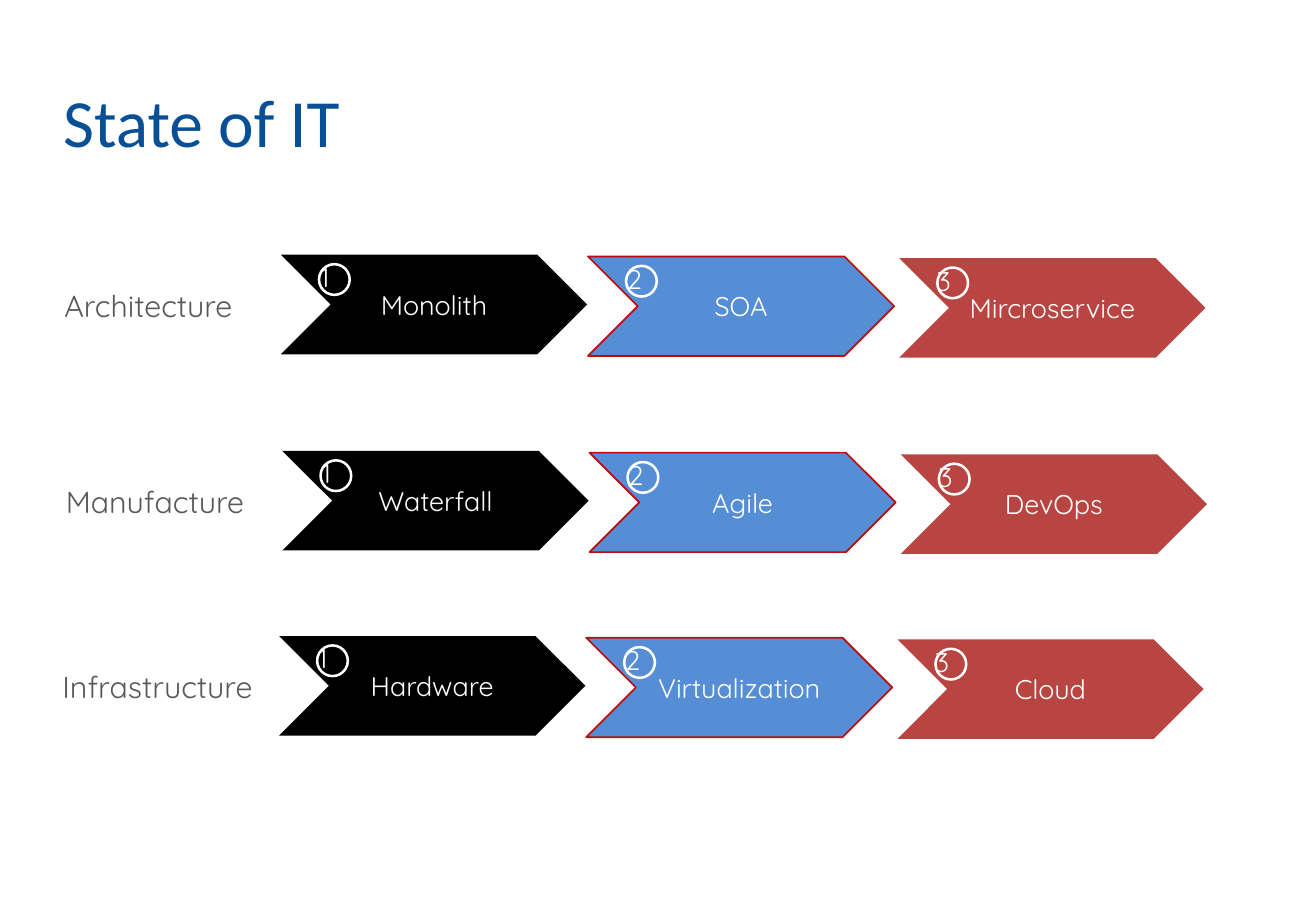
"""Build the State of IT slide: three rows of numbered evolution chevrons."""
from pptx import Presentation
from pptx.dml.color import RGBColor
from pptx.enum.shapes import MSO_SHAPE
from pptx.enum.text import MSO_ANCHOR, PP_ALIGN
from pptx.oxml.ns import qn
from pptx.util import Pt
from lxml.etree import SubElement

COLORS = {
    "title": "085095",
    "label": "595959",
    "white": "FFFFFF",
    "outline": "C00000",
    "first": "000000",
    "second": "558ED5",
    "third": "B84542",
}
ROWS = [
    ("Architecture", 166.5, 151, ["Monolith", "SOA", "Mircroservice"]),
    ("Manufacture", 167.4, 267.3, ["Waterfall", "Agile", "DevOps"]),
    ("Infrastructure", 165.4, 377, ["Hardware", "Virtualization", "Cloud"]),
]
STAGES = [("first", 0, 0, 23.4), ("second", 182, 1, 23), ("third", 366.5, 2, 22.4)]


def write(shape, text, size, color, font="Quicksand"):
    frame = shape.text_frame
    frame.word_wrap = True
    frame.text = text
    run_font = frame.paragraphs[0].runs[0].font
    run_font.name = font
    run_font.size = Pt(size)
    run_font.color.rgb = RGBColor.from_string(COLORS[color])
    return frame


def add_shape(kind, left, top, width, height):
    shape = slide.shapes.add_shape(kind, Pt(left), Pt(top), Pt(width), Pt(height))
    shape.shadow.inherit = False
    return shape


presentation = Presentation()
presentation.slide_width = Pt(780)
presentation.slide_height = Pt(540)
slide = presentation.slides.add_slide(presentation.slide_layouts[6])

title = slide.shapes.add_textbox(Pt(30.4), Pt(50.4), Pt(702), Pt(42))
write(title, "State of IT", 40, "title", "Calibri").vertical_anchor = MSO_ANCHOR.MIDDLE

for label, row_left, row_top, names in ROWS:
    label_box = slide.shapes.add_textbox(
        Pt(row_left - 135.5), Pt(row_top + 15.5), Pt(140), Pt(29)
    )
    write(label_box, label, 18, "label")

    for number, (name, stage) in enumerate(zip(names, STAGES), 1):
        color, shift, drop, number_inset = stage
        left, top = row_left + shift, row_top + drop

        chevron = add_shape(MSO_SHAPE.CHEVRON, left, top, 181.5, 59)
        chevron.fill.solid()
        chevron.fill.fore_color.rgb = RGBColor.from_string(COLORS[color])
        if color == "second":
            chevron.line.width = Pt(1)
            chevron.line.color.rgb = RGBColor.from_string(COLORS["outline"])
            outline_color = chevron.line.fill._xPr.find(".//" + qn("a:srgbClr"))
            SubElement(outline_color, qn("a:alpha"), val="95000")
        else:
            chevron.line.fill.background()
        frame = write(chevron, name, 16, "white")
        frame.vertical_anchor = MSO_ANCHOR.MIDDLE
        frame.paragraphs[0].alignment = PP_ALIGN.CENTER

        circle = add_shape(MSO_SHAPE.OVAL, left + 22.6, top + 5.6, 18.2, 18.2)
        circle.fill.background()
        circle.line.width = Pt(1.5)
        circle.line.color.rgb = RGBColor.from_string(COLORS["white"])

        number_box = slide.shapes.add_textbox(
            Pt(left + number_inset), Pt(top), Pt(9), Pt(26.6)
        )
        frame = write(number_box, str(number), 16, "white")
        frame.margin_left = frame.margin_right = 0

presentation.save("out.pptx")
